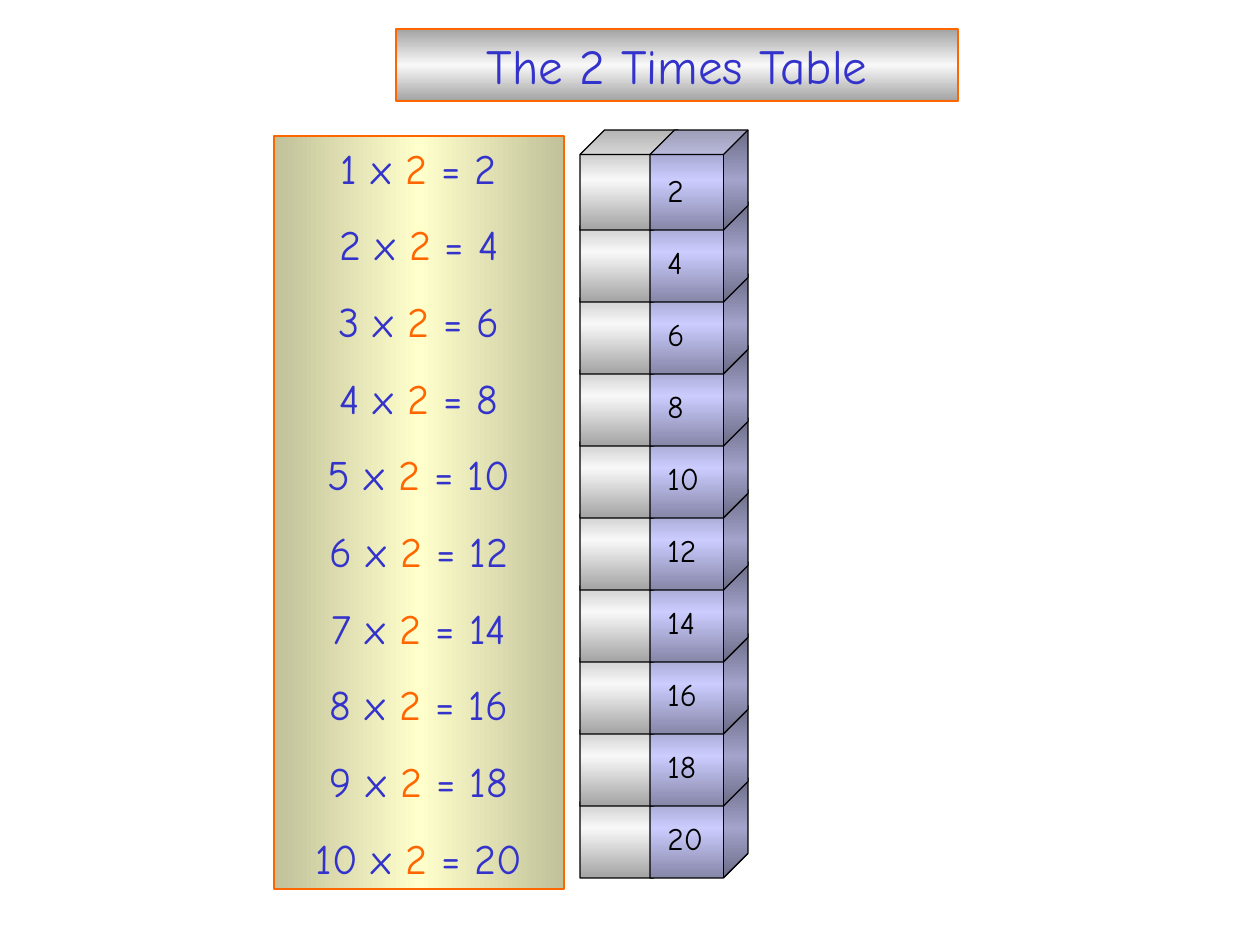
from copy import deepcopy

from pptx import Presentation
from pptx.dml.color import RGBColor
from pptx.enum.shapes import MSO_SHAPE as Shape
from pptx.enum.text import MSO_ANCHOR as Anchor, MSO_AUTO_SIZE as AutoSize, PP_ALIGN as Align
from pptx.oxml.ns import qn
from pptx.oxml.xmlchemy import OxmlElement
from pptx.util import Emu, Pt

PX = 914400 // 126
FONT = "Comic Neue"
BLACK = RGBColor(0x00, 0x00, 0x00)
BLUE = RGBColor(0x33, 0x33, 0xCC)
ORANGE = RGBColor(0xFF, 0x66, 0x00)
GREY = RGBColor(0xA3, 0xA3, 0xA3)
SILVER = RGBColor(0xF8, 0xF8, 0xF8)
SLATE = RGBColor(0x86, 0x86, 0xA8)
LILAC = RGBColor(0xCC, 0xCC, 0xFF)
OLIVE = RGBColor(0xC1, 0xC1, 0x9A)
CREAM = RGBColor(0xFF, 0xFF, 0xCC)


def px(*lengths):
    return [Emu(length * PX) for length in lengths]


def paint(shape, edge, middle, angle, outline):
    shape.fill.gradient()
    shape.fill.gradient_angle = angle
    stop_list = shape._element.spPr.find(".//" + qn("a:gsLst"))
    middle_stop = deepcopy(stop_list[0])
    middle_stop.set("pos", "50000")
    stop_list.insert(1, middle_stop)
    for stop, color in zip(shape.fill.gradient_stops, (edge, middle, edge)):
        stop.color.rgb = color
    shape.line.color.rgb = outline
    shape.line.width = Pt(0.75)


prs = Presentation()
prs.slide_width, prs.slide_height = px(1260, 945)
slide = prs.slides.add_slide(prs.slide_layouts[1])

title = slide.shapes.title
title.left, title.top, title.width, title.height = px(396, 29, 562, 72)
paint(title, GREY, SILVER, 90, ORANGE)
title.text_frame.text = "The 2 Times Table"
title.text_frame.auto_size = AutoSize.NONE
title.text_frame.vertical_anchor = Anchor.MIDDLE
heading = title.text_frame.paragraphs[0]
heading.alignment = Align.CENTER
heading.font.name = FONT
heading.font.size = Pt(28)
heading.font.color.rgb = BLUE

sums = slide.placeholders[1]
sums.left, sums.top, sums.width, sums.height = px(274, 136, 290, 753)
paint(sums, OLIVE, CREAM, 0, ORANGE)
sums.text_frame.auto_size = AutoSize.NONE
sums.text_frame.vertical_anchor = Anchor.TOP
for factor in range(1, 11):
    first = factor == 1
    line = sums.text_frame.paragraphs[0] if first else sums.text_frame.add_paragraph()
    line.alignment = Align.CENTER
    line.space_before = Pt(0 if first else 15)
    properties = line._p.get_or_add_pPr()
    properties.set("marL", "0")
    properties.set("indent", "0")
    properties.append(OxmlElement("a:buNone"))
    line.font.name = FONT
    line.font.size = Pt(24)
    for words, color in ((f"{factor} x ", BLUE), ("2", ORANGE), (f" = {factor * 2}", BLUE)):
        run = line.add_run()
        run.text = words
        run.font.color.rgb = color

for row in reversed(range(10)):
    top = 130 + 72 * row
    for left, edge, middle in ((580, GREY, SILVER), (650, SLATE, LILAC)):
        cube = slide.shapes.add_shape(Shape.CUBE, *px(left, top, 98, 100))
        cube.shadow.inherit = False
        paint(cube, edge, middle, 90, BLACK)
    product = slide.shapes.add_textbox(*px(655, top + 35, 94, 50)).text_frame
    product.word_wrap = True
    product.text = str(2 * (row + 1))
    number = product.paragraphs[0]
    number.font.name = FONT
    number.font.size = Pt(18)
    number.font.color.rgb = BLACK

prs.save("out.pptx")
